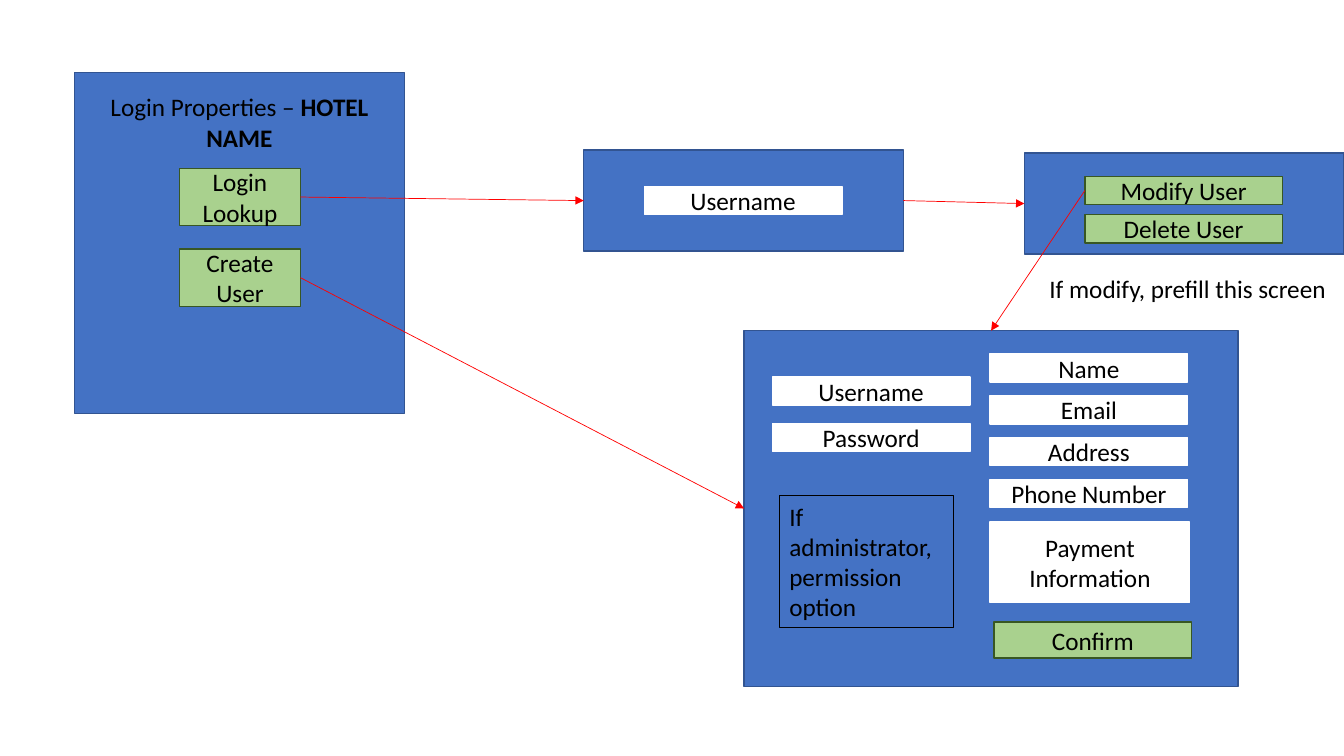
from lxml.etree import SubElement
from pptx import Presentation
from pptx.dml.color import RGBColor
from pptx.enum.shapes import MSO_CONNECTOR as Connector, MSO_SHAPE as Shape
from pptx.enum.text import MSO_ANCHOR as Anchor, MSO_AUTO_SIZE as AutoSize, PP_ALIGN as Align
from pptx.oxml.ns import qn
from pptx.util import Inches, Pt

COLORS = {
    "panel": "4472C4", "panel_line": "325491",
    "button": "A9D18E", "button_line": "385723",
    "field": "FFFFFF", "field_line": "FFFFFF",
    "text": "000000", "note_line": "000000", "arrow": "FF0000",
}
FONT = {"name": "Calibri", "size": Pt(18)}
LABEL = {"word_wrap": True, "vertical_anchor": Anchor.MIDDLE}
NOTE = {"word_wrap": True, "vertical_anchor": Anchor.TOP,
        "auto_size": AutoSize.SHAPE_TO_FIT_TEXT}
CAPTION = {**NOTE, "word_wrap": False}
TOP, LEFT, RIGHT = 0, 1, 3
ENTRY_W, ENTRY_H = 1.96, 0.28


def color(key):
    """Return the palette colour for a key."""
    return RGBColor.from_string(COLORS[key])


def write(target, runs, frame_format, align):
    """Write (text, bold) runs as one paragraph."""
    frame = target.text_frame
    for attribute, value in frame_format.items():
        setattr(frame, attribute, value)
    paragraph = frame.paragraphs[0]
    paragraph.alignment = align
    for text, bold in runs:
        run = paragraph.add_run()
        run.text = text
        for attribute, value in {**FONT, "bold": bold}.items():
            setattr(run.font, attribute, value)
        run.font.color.rgb = color("text")


def add_box(shapes, kind, box, text="", frame_format=LABEL, align=Align.CENTER, weight=1):
    """Add a rectangle of a palette kind, unfilled when the kind has no fill."""
    rect = shapes.add_shape(Shape.RECTANGLE, *map(Inches, box))
    rect.shadow.inherit = False
    if kind in COLORS:
        rect.fill.solid()
        rect.fill.fore_color.rgb = color(kind)
    else:
        rect.fill.background()
    rect.line.color.rgb = color(kind + "_line")
    rect.line.width = Pt(weight)
    if text:
        write(rect, [(text, False)], frame_format, align)
    return rect


def add_text(shapes, box, runs, frame_format, align):
    """Add a plain text box."""
    write(shapes.add_textbox(*map(Inches, box)), runs, frame_format, align)


def add_arrow(slide, source, source_side, target, target_side):
    """Join two boxes with a thin red arrow."""
    arrow = slide.shapes.add_connector(Connector.STRAIGHT, 0, 0, 0, 0)
    arrow.begin_connect(source, source_side)
    arrow.end_connect(target, target_side)
    arrow.line.color.rgb = color("arrow")
    arrow.line.width = Pt(0.5)
    SubElement(arrow.line._get_or_add_ln(), qn("a:tailEnd"), type="triangle")
    SubElement(arrow._element.spPr, qn("a:effectLst"))


def login_panel(slide, left, top, width, height):
    """Draw the login screen and return its two buttons."""
    shapes = slide.shapes.add_group_shape().shapes
    add_box(shapes, "panel", (left, top, width, height))
    add_text(shapes, (left, top + 0.14, width, 0.22),
             [("Login Properties – ", False), ("HOTEL NAME", True)], NOTE, Align.CENTER)
    return [add_box(shapes, "button", (left + 1.04, top + 0.95 + 0.8 * row, 1.2, 0.57), text)
            for row, text in enumerate(("Login Lookup", "Create User"))]


def entry_panel(slide, left, top, width, height, kind, entries):
    """Draw a small screen of (offset, text) entries; return panel and entries."""
    shapes = slide.shapes.add_group_shape().shapes
    panel = add_box(shapes, "panel", (left, top, width, height))
    return panel, [add_box(shapes, kind, (left + 0.6, top + offset, ENTRY_W, ENTRY_H), text)
                   for offset, text in entries]


def account_form(slide, left, top, width, height):
    """Draw the account details screen and return its panel."""
    shapes = slide.shapes.add_group_shape().shapes
    panel = add_box(shapes, "panel", (left, top, width, height))
    columns = (
        (0.28, 0.46, 0.46, ("Username", "Password")),
        (2.44, 0.23, 0.415, ("Name", "Email", "Address", "Phone Number")),
    )
    for x, y, pitch, names in columns:
        for row, name in enumerate(names):
            add_box(shapes, "field",
                    (left + x, top + y + pitch * row, ENTRY_W, ENTRY_H), name)
    add_box(shapes, "field", (left + 2.44, top + 1.9, 1.98, 0.8), "Payment Information")
    add_box(shapes, "note", (left + 0.35, top + 1.64, 1.73, 1.31),
            "If administrator, permission option", NOTE, Align.LEFT, 0.75)
    add_box(shapes, "button", (left + 2.48, top + 2.89, ENTRY_W, 0.36), "Confirm")
    return panel


def main():
    """Build the user account flow slide."""
    deck = Presentation()
    deck.slide_width, deck.slide_height = Inches(13.33), Inches(7.5)
    slide = deck.slides.add_slide(deck.slide_layouts[6])
    lookup, create = login_panel(slide, 0.74, 0.72, 3.27, 3.38)
    search, _ = entry_panel(slide, 5.79, 1.49, 3.17, 1, "field", [(0.36, "Username")])
    actions, (modify, _) = entry_panel(slide, 10.16, 1.52, 3.17, 1, "button",
                                       [(0.23, "Modify User"), (0.61, "Delete User")])
    add_text(slide.shapes, (10.31, 2.66, 2.98, 0.4),
             [("If modify, prefill this screen", False)], CAPTION, Align.LEFT)
    form = account_form(slide, 7.38, 3.28, 4.9, 3.53)
    add_arrow(slide, lookup, RIGHT, search, LEFT)
    add_arrow(slide, create, RIGHT, form, LEFT)
    add_arrow(slide, search, RIGHT, actions, LEFT)
    add_arrow(slide, modify, LEFT, form, TOP)
    deck.save("out.pptx")


if __name__ == "__main__":
    main()
